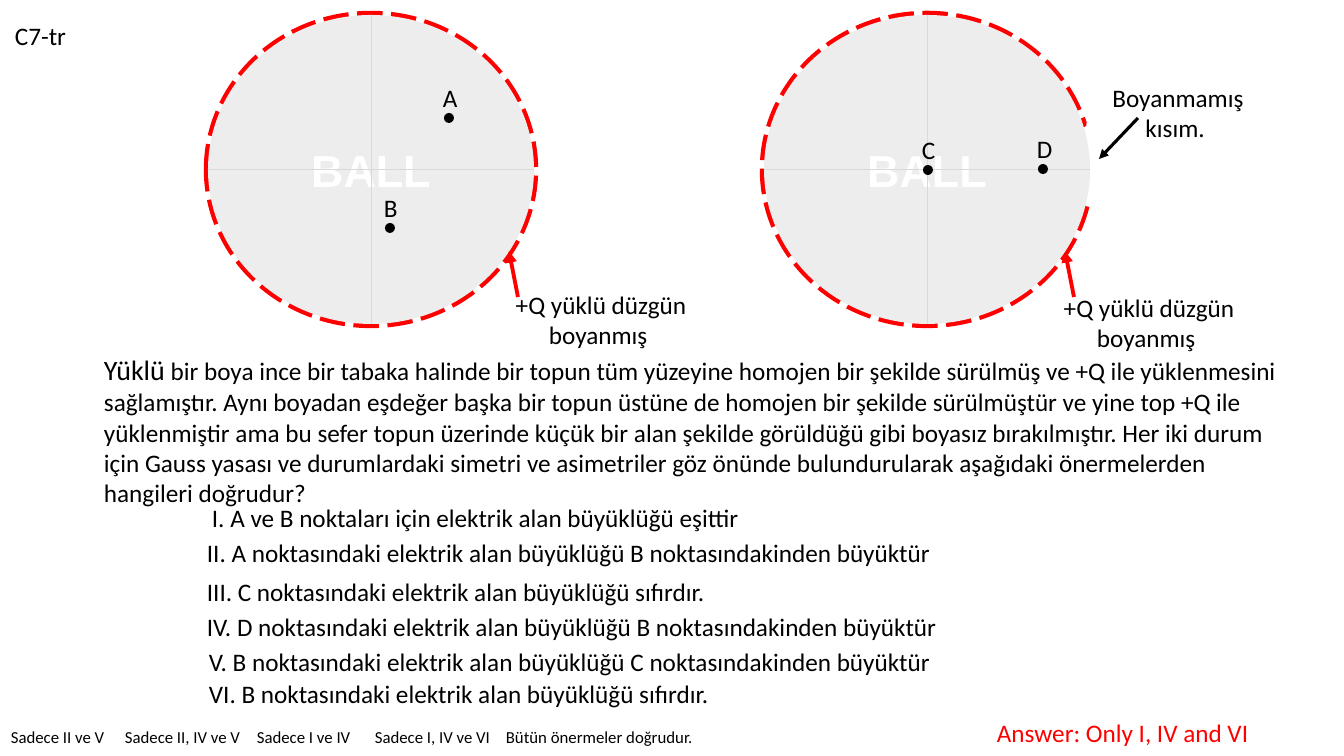
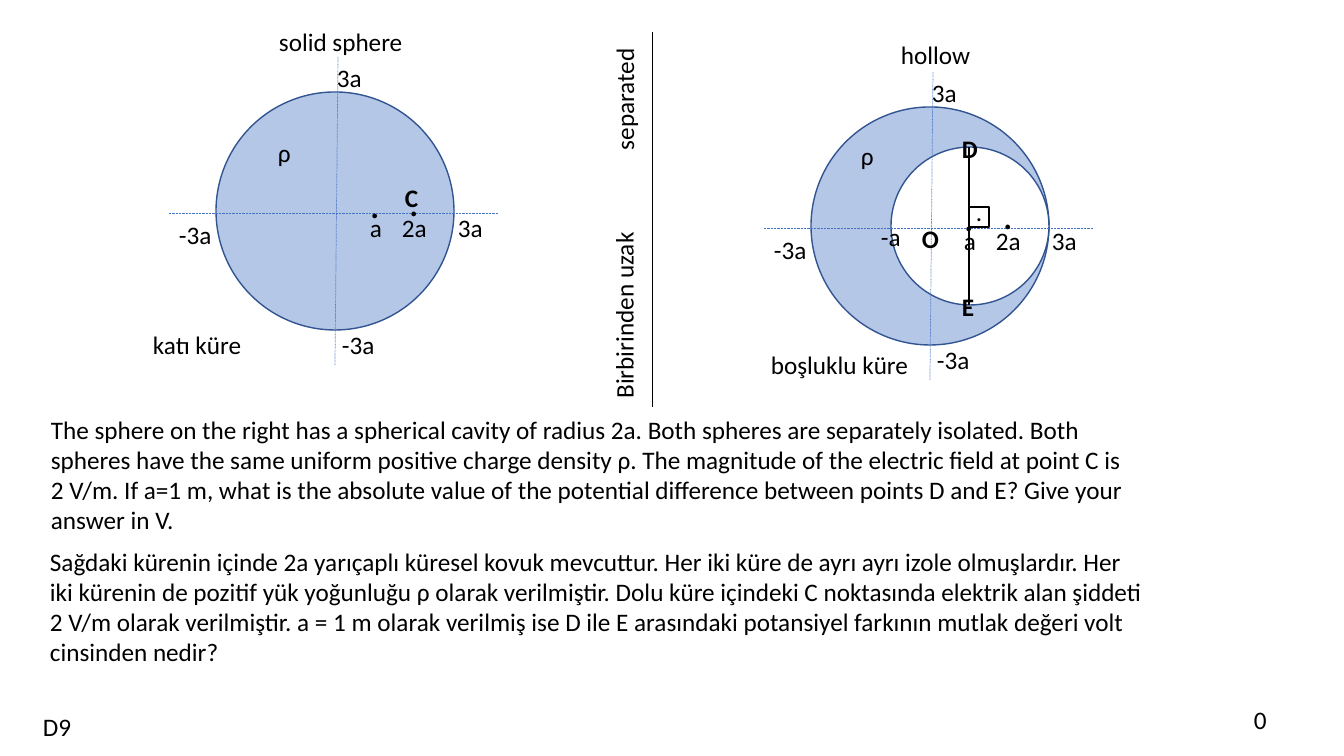
from dataclasses import dataclass

from lxml import etree
from pptx import Presentation
from pptx.dml.color import RGBColor
from pptx.enum.dml import MSO_LINE as DASH
from pptx.enum.shapes import MSO_CONNECTOR as CONN, MSO_SHAPE as SHP
from pptx.enum.text import MSO_ANCHOR as ANC, MSO_AUTO_SIZE as FIT, PP_ALIGN as AL
from pptx.oxml.ns import qn
from pptx.util import Emu, Pt


@dataclass(frozen=True)
class Theme:
    font: str = "Calibri"
    ball_font: str = "Arial"
    ink: str = "000000"
    white: str = "FFFFFF"
    red: str = "FF0000"
    ball: str = "EDEDED"
    ball_axis: str = "D9D9D9"
    sphere: str = "B4C7E7"
    outline: str = "325491"
    axis: str = "4472C4"
    body: int = 18
    lead: int = 20
    small: int = 12
    dot: int = 28
    ball_text: int = 32


T = Theme()
SCALE = 914400 / 100.8
LINE_H = 40  # height of a one-line text box


def px(n):
    return Emu(round(n * SCALE))


def rgb(value):
    return RGBColor.from_string(value)


def style(font, size, color=T.ink, bold=None, name=T.font):
    font.name, font.size, font.bold = name, Pt(size), bold
    font.color.rgb = rgb(color)


# Element builders
def text(s, x, y, w, words, h=LINE_H, size=T.body, color=T.ink, bold=None,
         align=AL.LEFT, wrap=True, turn=0, lead=None):
    sp = s.shapes.add_textbox(px(x), px(y), px(w), px(h))
    sp.rotation = turn
    tf = sp.text_frame
    tf.word_wrap, tf.auto_size = wrap, FIT.SHAPE_TO_FIT_TEXT
    p = tf.paragraphs[0]
    p.alignment = align
    style(p.font, size, color, bold)
    if lead:
        r = p.add_run()
        r.text = lead
        r.font.size = Pt(T.lead)
    p.add_run().text = words
    return sp


def shape(s, kind, x, y, w, h, fill=None, line=None, width=1, dash=None):
    sp = s.shapes.add_shape(kind, px(x), px(y), px(w), px(h))
    sp.shadow.inherit = False
    if fill:
        sp.fill.solid()
        sp.fill.fore_color.rgb = rgb(fill)
    else:
        sp.fill.background()
    if line:
        sp.line.color.rgb = rgb(line)
        sp.line.width = Pt(width)
        if dash:
            sp.line.dash_style = dash
    else:
        sp.line.fill.background()
    return sp


def line(s, x1, y1, x2, y2, color, width, dash=None, arrow=False):
    c = s.shapes.add_connector(CONN.STRAIGHT, px(x1), px(y1), px(x2), px(y2))
    c.line.color.rgb = rgb(color)
    c.line.width = Pt(width)
    if dash:
        c.line.dash_style = dash
    sp_pr = c._element.spPr
    if arrow:
        etree.SubElement(sp_pr.find(qn("a:ln")), qn("a:tailEnd"), type="triangle")
    etree.SubElement(sp_pr, qn("a:effectLst"))


# Painted balls
BALL_Y, BALL_W, BALL_H = 15, 326, 309


def paint_ring(s, x, kind):
    return shape(s, kind, x, BALL_Y, BALL_W, BALL_H,
                 line=T.red, width=6, dash=DASH.SQUARE_DOT)


def paint_label(s, x, y):
    text(s, x, y, 246, "+Q yüklü düzgün boyanmış ", h=72, align=AL.CENTER)


def paint_arrow(s, x):
    line(s, x + 310, 297, x + 301, 251, T.red, 2.75, arrow=True)


def ball(s, x):
    sp = shape(s, SHP.OVAL, x, BALL_Y, BALL_W, BALL_H, fill=T.ball)
    tf = sp.text_frame
    tf.vertical_anchor = ANC.MIDDLE
    p = tf.paragraphs[0]
    p.alignment = AL.CENTER
    style(p.font, T.ball_text, T.white, True, T.ball_font)
    p.add_run().text = "BALL"
    mid_x, mid_y = x + BALL_W / 2, BALL_Y + BALL_H / 2
    line(s, mid_x, BALL_Y, mid_x, BALL_Y + BALL_H, T.ball_axis, 0.5)
    line(s, x, mid_y, x + BALL_W, mid_y, T.ball_axis, 0.5)


def point(s, name, x, y):
    shape(s, SHP.OVAL, x, y, 10, 10, fill=T.ink)
    text(s, x - 11, y - 36, 35, name, wrap=False)


# Charged spheres
def sphere_body(s, x, y, size):
    return lambda fill: shape(s, SHP.OVAL, x, y, size, size, fill, T.outline)


def sphere_axes(s, x, y):
    line(s, x + 122, y - 35, x + 119, y + 273, T.axis, 0.5, DASH.ROUND_DOT)
    line(s, x + 282, y + 121, x - 47, y + 121, T.axis, 0.5, DASH.ROUND_DOT)
    for dx, dy, w, words in ((-47, 122, 58, "-3a"), (111, -35, 50, "3a"),
                             (116, 232, 58, "-3a")):
        text(s, x + dx, y + dy, w, words)


def radius_marks(s, x, y):
    for dx, dy in ((39, -35), (0, -33)):
        text(s, x + dx, y + dy, 34, ".", h=57, size=T.dot)
    for dx, w, words in ((0, 34, "a"), (32, 50, "2a"), (88, 50, "3a")):
        text(s, x + dx, y, w, words)


def ball_slide(s):
    left, right = 208, 764
    text(s, 987, 712, 276, "Answer: Only I, IV and VI", color=T.red)
    for x, w, words in (
            (1, 115, "Sadece II ve V"), (115, 137, "Sadece II, IV ve V"),
            (247, 115, "Sadece I ve IV"), (365, 137, "Sadece I, IV ve VI"),
            (496, 209, "Bütün önermeler doğrudur.")):
        text(s, x, 722, w, words, h=30, size=T.small, wrap=False)

    # Paint layers lie under the balls
    paint_ring(s, left, SHP.OVAL)
    paint_label(s, 478, 284)
    gap = paint_ring(s, right, SHP.PIE)
    gap.adjustments[0], gap.adjustments[1] = 7.793, 206.135
    paint_arrow(s, right)
    paint_label(s, 1026, 287)
    ball(s, left)
    ball(s, right)
    paint_arrow(s, left)
    line(s, 1138, 118, 1099, 159, T.ink, 2.25, arrow=True)
    text(s, 1075, 77, 206, "Boyanmamış kısım. ", h=72, align=AL.CENTER)
    for name, x, y in (("A", 444, 113), ("B", 385, 223),
                       ("D", 1038, 164), ("C", 923, 165)):
        point(s, name, x, y)

    # Statements
    for x, y, w, words in (
            (202, 497, 553, "I. A ve B noktaları için elektrik alan büyüklüğü eşittir"),
            (197, 532, 752, "II. A noktasındaki elektrik alan büyüklüğü B noktasındakinden büyüktür"),
            (197, 571, 524, "III. C noktasındaki elektrik alan büyüklüğü sıfırdır."),
            (197, 606, 758, "IV. D noktasındaki elektrik alan büyüklüğü B noktasındakinden büyüktür"),
            (199, 641, 750, "V. B noktasındaki elektrik alan büyüklüğü C noktasındakinden büyüktür"),
            (199, 673, 525, "VI. B noktasındaki elektrik alan büyüklüğü sıfırdır.")):
        text(s, x, y, w, words, wrap=False)
    text(s, 94, 348, 1211,
         " bir boya ince bir tabaka halinde bir topun tüm yüzeyine homojen bir şekilde "
         "sürülmüş ve +Q ile yüklenmesini sağlamıştır. Aynı boyadan eşdeğer başka bir topun "
         "üstüne de homojen bir şekilde sürülmüştür ve yine top +Q ile yüklenmiştir ama bu "
         "sefer topun üzerinde küçük bir alan şekilde görüldüğü gibi boyasız bırakılmıştır. "
         "Her iki durum için Gauss yasası ve durumlardaki simetri ve asimetriler göz önünde "
         "bulundurularak aşağıdaki önermelerden hangileri doğrudur? ", h=166, lead="Yüklü")
    text(s, 5, 15, 80, "C7-tr")


def sphere_slide(s):
    text(s, 1244, 699, 43, "0")
    text(s, 41, 409, 1093,
         "The sphere on the right has a spherical cavity of radius 2a. Both spheres are "
         "separately isolated. Both spheres have the same uniform positive charge density ρ. "
         "The magnitude of the electric field at point C is 2 V/m. If a=1 m, what is the "
         "absolute value of the potential difference between points D and E? Give your "
         "answer in V. ", h=132)

    # Divider
    line(s, 652, 32, 652, 407, T.ink, 0.5)
    text(s, 560, 76, 128, "separated", turn=270)
    text(s, 516, 281, 215, "Birbirinden uzak", turn=270)

    # Solid sphere
    sphere_body(s, 216, 92, 238)(T.sphere)
    sphere_axes(s, 216, 92)
    radius_marks(s, 360, 207)
    text(s, 395, 177, 36, "C", bold=True)
    text(s, 269, 21, 151, "solid sphere")
    text(s, 143, 324, 151, "katı küre")
    text(s, 268, 132, 34, "ρ", wrap=False)

    # Hollow sphere
    sphere_body(s, 811, 107, 238)(T.sphere)
    sphere_body(s, 891, 147, 158)(T.white)
    sphere_axes(s, 811, 107)
    radius_marks(s, 954, 220)
    text(s, 871, 216, 47, "-a")
    text(s, 891, 34, 120, "hollow")
    text(s, 851, 135, 34, "ρ", wrap=False)
    text(s, 761, 344, 162, "boşluklu küre")
    line(s, 969, 147, 969, 305, T.ink, 1)
    for name, x, y in (("D", 952, 128), ("O", 912, 218), ("E", 952, 286)):
        text(s, x, y, 36, name, bold=True)
    shape(s, SHP.RECTANGLE, 969, 207, 20, 20, T.white, T.ink)
    text(s, 966, 191, 42, ".")

    text(s, 40, 541, 1117,
         "Sağdaki kürenin içinde 2a yarıçaplı küresel kovuk mevcuttur. Her iki küre de ayrı "
         "ayrı izole olmuşlardır. Her iki kürenin de pozitif yük yoğunluğu ρ olarak "
         "verilmiştir. Dolu küre içindeki C noktasında elektrik alan şiddeti 2 V/m olarak "
         "verilmiştir. a = 1 m olarak verilmiş ise D ile E arasındaki potansiyel farkının "
         "mutlak değeri volt cinsinden nedir? ", h=132)
    text(s, 33, 706, 82, "D9")


def main():
    prs = Presentation()
    prs.slide_width, prs.slide_height = px(1344), px(756)
    for build in (ball_slide, sphere_slide):
        build(prs.slides.add_slide(prs.slide_layouts[6]))
    prs.save("out.pptx")


main()
